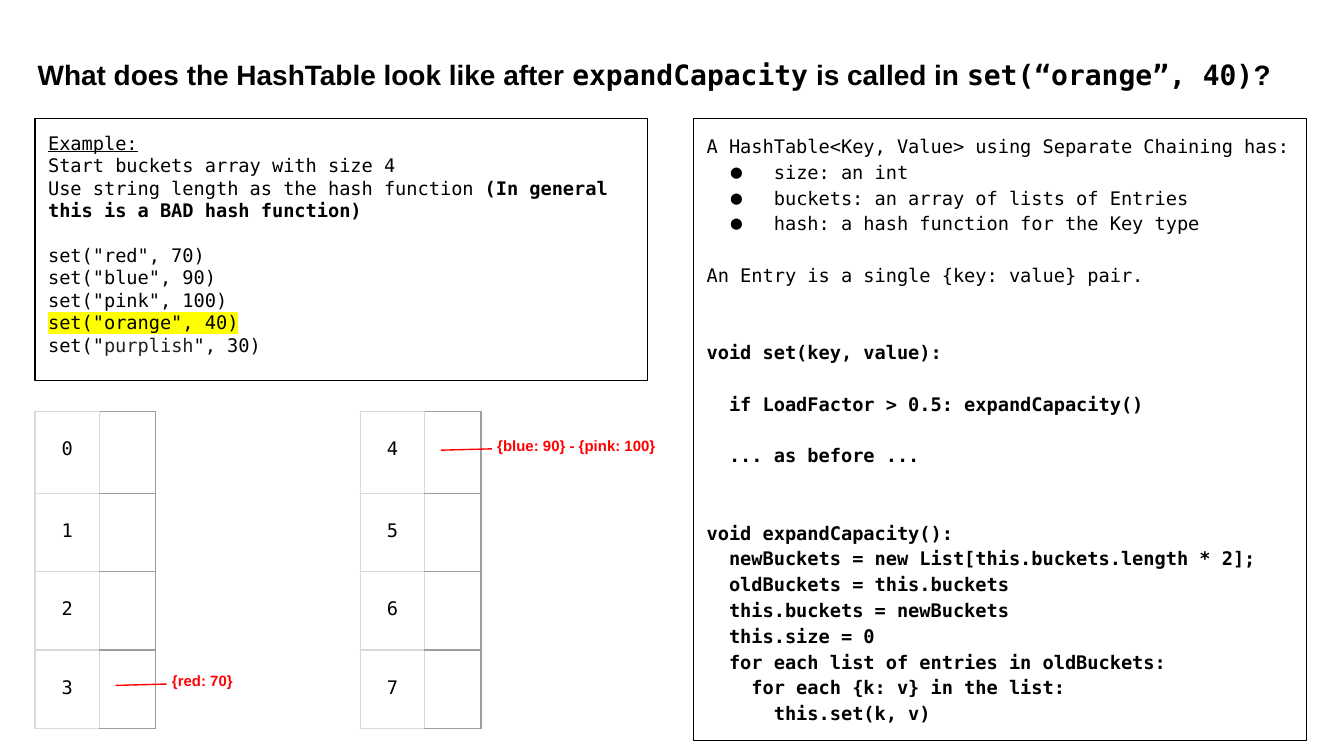
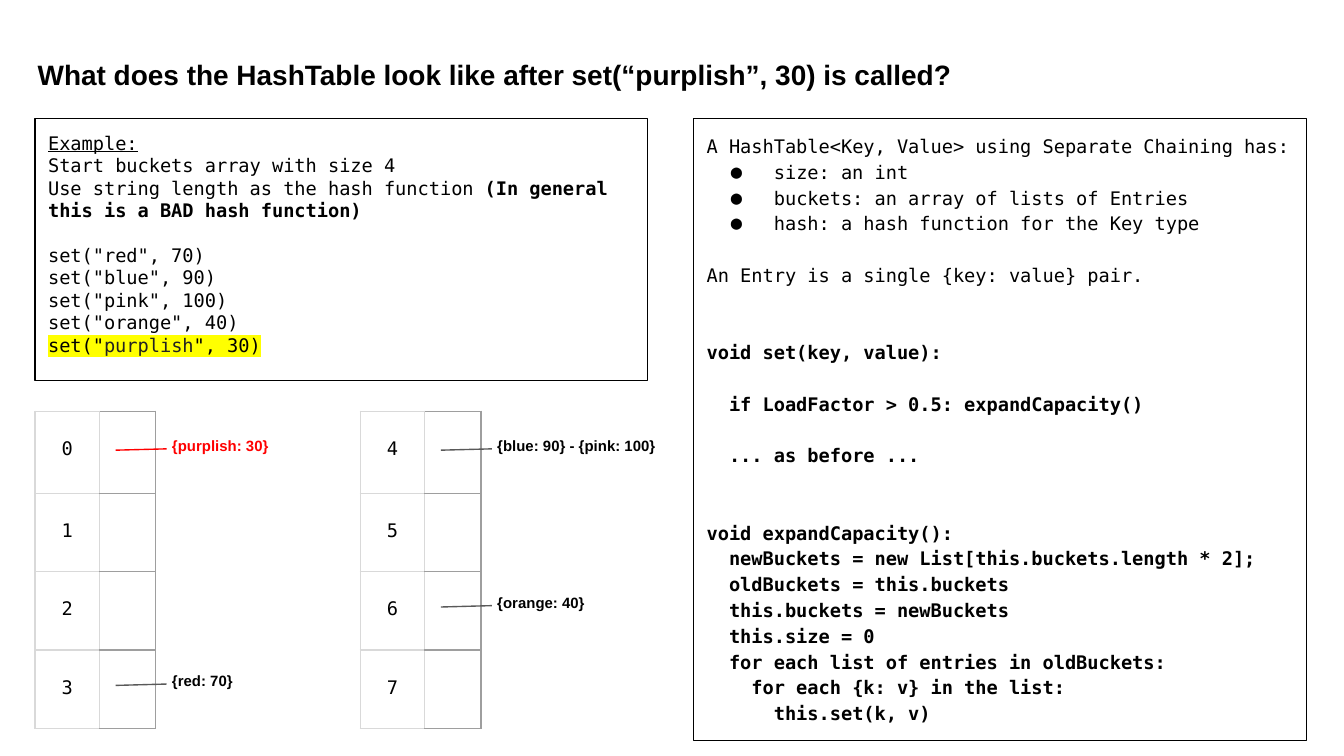
from dataclasses import dataclass

from lxml import etree
from pptx import Presentation
from pptx.dml.color import RGBColor
from pptx.enum import shapes, text
from pptx.oxml import ns
from pptx.util import Inches, Pt


@dataclass(frozen=True)
class Theme:
    sans: str = "Arial"
    mono: str = "DejaVu Sans Mono"
    ink: str = "000000"
    soft_ink: str = "222222"
    new: str = "FF0000"
    link: str = "595959"
    highlight: str = "FFFF00"
    grid_light: str = "D9D9D9"
    grid_dark: str = "9E9E9E"
    title_size: float = 15
    body_size: float = 10
    label_size: float = 8
    line_width: float = 0.75
    spacing: float = 1.15


THEME = Theme()
LINE_PITCH = 12  # points taken by one body line at single spacing

SLIDE_WIDTH = Inches(10)
SLIDE_HEIGHT = SLIDE_WIDTH * 9 // 16
TITLE_BOX = (0.18, 0.29, 9.71, 0.55)
EXAMPLE_BOX = (0.26, 0.88, 4.56, 1.95)
CODE_BOX = (5.16, 0.88, 4.56, 4.63)
BUCKETS_TOP = 3.06
BUCKETS_HEIGHT = 2.36
BUCKET_LEFTS = (0.26, 2.68)
BUCKET_COLUMNS = (0.48, 0.42)
FIRST_ROW = 0.61
OTHER_ROW = (BUCKETS_HEIGHT - FIRST_ROW) / 3
BUCKET_ROWS = (FIRST_ROW, OTHER_ROW, OTHER_ROW, OTHER_ROW)


@dataclass
class Line:
    """One paragraph: a string or (text, format) runs, with blank lines before it."""
    runs: object
    gap: int = 0
    bullet: bool = False
    bold: bool = False


DEFINITION = [
    Line("A HashTable<Key, Value> using Separate Chaining has:"),
    Line("size: an int", bullet=True),
    Line("buckets: an array of lists of Entries", bullet=True),
    Line("hash: a hash function for the Key type", bullet=True),
    Line("An Entry is a single {key: value} pair.", gap=1),
    Line("void set(key, value):", gap=2, bold=True),
    Line("  if LoadFactor > 0.5: expandCapacity()", gap=1, bold=True),
    Line("  ... as before ...", gap=1, bold=True),
    Line("void expandCapacity():", gap=2, bold=True),
    Line("  newBuckets = new List[this.buckets.length * 2];", bold=True),
    Line("  oldBuckets = this.buckets", bold=True),
    Line("  this.buckets = newBuckets", bold=True),
    Line("  this.size = 0", bold=True),
    Line("  for each list of entries in oldBuckets:", bold=True),
    Line("    for each {k: v} in the list:", bold=True),
    Line("      this.set(k, v)", bold=True),
]

INTRO = [
    Line([("Example:", {"underline": True})]),
    Line("Start buckets array with size 4"),
    Line([("Use string length as the hash function ", {}),
          ("(In general this is a BAD hash function)", {"bold": True})]),
]

CALLS = {
    "red": [('set("red", 70)', {})],
    "blue": [('set("blue", 90)', {})],
    "pink": [('set("pink", 100)', {})],
    "orange": [('set("orange", 40)', {})],
    "purplish": [('set("', {}), ("purplish", {"color": THEME.soft_ink}), ('", 30)', {})],
}


def inches(box):
    return [Inches(length) for length in box]


def add_element(parent, tag, **attributes):
    return etree.SubElement(parent, ns.qn(tag), attributes)


def format_run(run, font, size, color, bold=False, underline=False, highlight=None):
    run.font.size = Pt(size)
    run.font.bold = bold
    run.font.underline = underline
    run.font.color.rgb = RGBColor.from_string(color)
    run.font.name = font
    if highlight:
        properties = run.font._element
        mark = add_element(properties, "a:highlight")
        add_element(mark, "a:srgbClr", val=highlight)
        properties.find(ns.qn("a:latin")).addprevious(mark)


def add_bullet(paragraph):
    properties = paragraph._p.get_or_add_pPr()
    properties.set("marL", str(Inches(0.5)))
    properties.set("indent", str(Inches(-0.32)))
    add_element(add_element(properties, "a:buClr"), "a:srgbClr", val=THEME.ink)
    add_element(properties, "a:buFont", typeface=THEME.mono)
    add_element(properties, "a:buChar", char="●")


def write(frame, lines, font=THEME.mono, size=THEME.body_size, color=THEME.ink,
          bold=False, spacing=1.0, align=text.PP_ALIGN.LEFT):
    for index, line in enumerate(lines):
        paragraph = frame.paragraphs[0] if index == 0 else frame.add_paragraph()
        if line.bullet:
            add_bullet(paragraph)
        paragraph.alignment = align
        paragraph.line_spacing = spacing
        paragraph.space_before = Pt(round(line.gap * LINE_PITCH * spacing, 1))
        runs = [(line.runs, {})] if isinstance(line.runs, str) else line.runs
        for words, changes in runs:
            run = paragraph.add_run()
            run.text = words
            style = {"font": font, "size": size, "color": color, "bold": bold or line.bold}
            format_run(run, **{**style, **changes})


def set_frame(frame, left=0.1):
    frame.word_wrap = True
    frame.auto_size = text.MSO_AUTO_SIZE.NONE
    frame.vertical_anchor = text.MSO_ANCHOR.TOP
    frame.margin_left = Inches(left)
    frame.margin_top = frame.margin_right = frame.margin_bottom = Inches(0.1)


def set_title(slide, runs):
    title = slide.shapes.title
    title.left, title.top, title.width, title.height = inches(TITLE_BOX)
    set_frame(title.text_frame)
    write(title.text_frame, [Line(runs)], font=THEME.sans, size=THEME.title_size,
          bold=True, spacing=THEME.spacing)


def add_panel(slide, box, lines, spacing=1.0):
    panel = slide.shapes.add_shape(shapes.MSO_SHAPE.RECTANGLE, *inches(box))
    panel.shadow.inherit = False
    panel.fill.background()
    panel.line.color.rgb = RGBColor.from_string(THEME.ink)
    panel.line.width = Pt(THEME.line_width)
    set_frame(panel.text_frame)
    write(panel.text_frame, lines, spacing=spacing)


def add_example(slide, current):
    """List the calls and highlight the current one."""
    lines = list(INTRO)
    for key, call in CALLS.items():
        mark = {"highlight": THEME.highlight} if key == current else {}
        runs = [(words, {**changes, **mark}) for words, changes in call]
        lines.append(Line(runs, gap=1 if key == "red" else 0))
    add_panel(slide, EXAMPLE_BOX, lines)


def set_borders(cell, **colors):
    properties = cell._tc.get_or_add_tcPr()
    for position, side in enumerate("LRTB"):
        border = etree.Element(ns.qn(f"a:ln{side}"), w=str(Pt(THEME.line_width)))
        fill = add_element(border, "a:solidFill")
        add_element(fill, "a:srgbClr", val=colors.get(side, THEME.grid_light))
        properties.insert(position, border)


def add_buckets(slide, left, first):
    """Draw four numbered buckets, counting from first."""
    box = (left, BUCKETS_TOP, sum(BUCKET_COLUMNS), BUCKETS_HEIGHT)
    table = slide.shapes.add_table(len(BUCKET_ROWS), len(BUCKET_COLUMNS), *inches(box)).table
    table.first_row = table.horz_banding = False
    for column, width in zip(table.columns, BUCKET_COLUMNS):
        column.width = Inches(width)
    for index, (row, height) in enumerate(zip(table.rows, BUCKET_ROWS)):
        row.height = Inches(height)
        number, content = row.cells
        for cell in (number, content):
            cell.fill.background()
            cell.vertical_anchor = text.MSO_ANCHOR.TOP
            cell.margin_left = cell.margin_right = cell.margin_bottom = Inches(0.1)
        number.margin_top = Inches(0.2)
        write(number.text_frame, [Line(str(first + index))], align=text.PP_ALIGN.CENTER)
        set_borders(number)
        set_borders(content, R=THEME.grid_dark, T=THEME.grid_dark, B=THEME.grid_dark)


def add_chain(slide, bucket, entries, new):
    """Link a bucket to its entries, in red when they are new."""
    group, row = divmod(bucket, len(BUCKET_ROWS))
    left = BUCKET_LEFTS[group]
    top = BUCKETS_TOP + 0.28 + OTHER_ROW * row
    link = slide.shapes.add_connector(
        shapes.MSO_CONNECTOR.STRAIGHT,
        *inches((left + 0.6, top + 0.01, left + 0.98, top)))
    link.line.color.rgb = RGBColor.from_string(THEME.new if new else THEME.link)
    link.line.width = Pt(THEME.line_width)
    add_element(link._element.spPr, "a:effectLst")
    label = slide.shapes.add_textbox(*inches((left + 0.86, top - 0.19, 1.6, 0.21)))
    set_frame(label.text_frame, left=0.16)
    write(label.text_frame, [Line(entries)], font=THEME.sans, size=THEME.label_size,
          color=THEME.new if new else THEME.ink, bold=True)


def add_step(presentation, title, current, chains):
    slide = presentation.slides.add_slide(presentation.slide_layouts[5])
    add_panel(slide, CODE_BOX, DEFINITION, spacing=THEME.spacing)
    add_example(slide, current)
    set_title(slide, title)
    for group, left in enumerate(BUCKET_LEFTS):
        add_buckets(slide, left, group * len(BUCKET_ROWS))
    for bucket, entries, new in chains:
        add_chain(slide, bucket, entries, new)


def main():
    presentation = Presentation()
    presentation.slide_width = SLIDE_WIDTH
    presentation.slide_height = SLIDE_HEIGHT
    code = {"font": THEME.mono}
    add_step(
        presentation,
        [("What does the HashTable look like after ", {}), ("expandCapacity", code),
         (" is called in ", {}), ("set(“orange”, 40)", code), ("?", {})],
        "orange",
        [(4, "{blue: 90} - {pink: 100}", True), (3, "{red: 70}", True)])
    add_step(
        presentation,
        "What does the HashTable look like after set(“purplish”, 30) is called?",
        "purplish",
        [(4, "{blue: 90} - {pink: 100}", False), (3, "{red: 70}", False),
         (6, "{orange: 40}", False), (0, "{purplish: 30}", True)])
    presentation.save("out.pptx")


if __name__ == "__main__":
    main()
